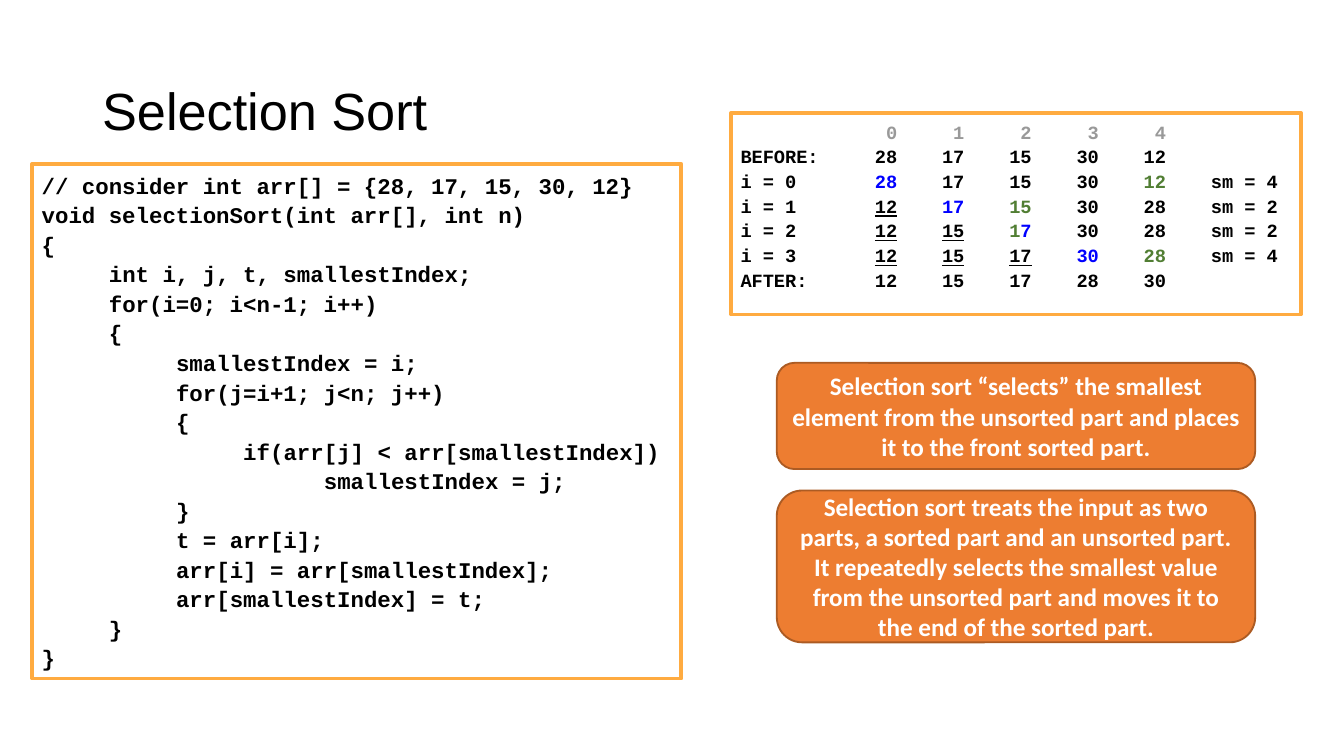
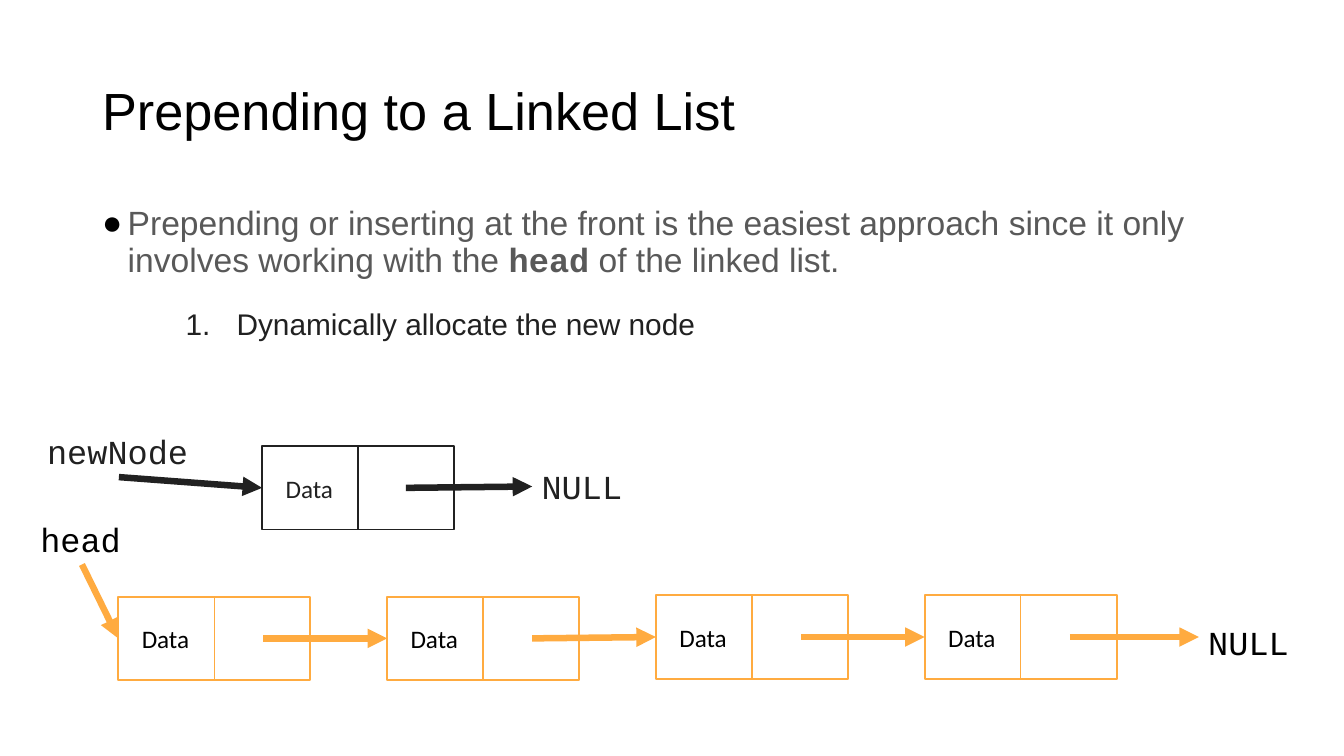
from pptx import Presentation
from pptx.dml.color import RGBColor
from pptx.enum.shapes import MSO_CONNECTOR, MSO_SHAPE
from pptx.enum.text import MSO_ANCHOR, PP_ALIGN
from pptx.oxml.ns import qn
from pptx.util import Inches, Pt
from lxml.etree import SubElement

# Grid: 100 columns by 56.25 rows, each cell a tenth of an inch
CELL = Inches(0.1)
COLS, ROWS = 100, 56.25

# Shared colours and text formats
hue = RGBColor.from_string
BLACK, WHITE, INK = "000000", "FFFFFF", "212121"
AMBER, BLUE, GREEN = "FFAB40", "0000FF", "517E33"
HEAD = {"name": "Arial", "size": Pt(28), "tint": BLACK}
MONO = {"name": "Courier New", "size": Pt(18), "tint": BLACK}
CODE = MONO | {"size": Pt(12), "bold": True}
NOTE = {"name": "Calibri", "size": Pt(13.5), "tint": WHITE, "bold": True}
DATA = {"name": "Calibri", "size": Pt(13.5), "tint": BLACK}
TITLE = (6.9, 3, 86.2, 10.9)
MID = {"vertical_anchor": MSO_ANCHOR.MIDDLE}


def put(page, at, lines, font, form=None, edge=None, fill=WHITE, frame={}, para={}):
    """Add a text box, or a preset shape; lines hold (text, changes) runs."""
    area = [round(n * CELL) for n in at]
    if form is None:
        item = page.shapes.add_textbox(*area)
    else:
        item = page.shapes.add_shape(form, *area)
        item.shadow.inherit = False
        item.fill.solid()
        item.fill.fore_color.rgb = hue(fill)
        item.line.color.rgb = hue(edge[0])
        item.line.width = Pt(edge[1])
    text = item.text_frame
    look = {"word_wrap": True, "vertical_anchor": MSO_ANCHOR.TOP,
            "margin_left": Inches(0.07), "margin_right": Inches(0.07),
            "margin_top": Inches(0.04), "margin_bottom": Inches(0.04)}
    for key, val in (look | frame).items():
        setattr(text, key, val)
    for num, line in enumerate(lines):
        par = text.add_paragraph() if num else text.paragraphs[0]
        for key, val in ({"alignment": PP_ALIGN.LEFT} | para).items():
            setattr(par, key, val)
        par._p.get_or_add_pPr().set("defTabSz", str(Inches(0.5)))
        for words, diff in line:
            run = par.add_run()
            run.text = words
            for key, val in (font | diff).items():
                if key == "tint":
                    run.font.color.rgb = hue(val)
                else:
                    setattr(run.font, key, val)
    return item


def link(page, start, stop, tint, wide=3.5, tip=True):
    """Draw a line; each end is a grid point or a (shape, side) pair."""
    ends = [(0, 0) if hasattr(end[0], "shape_id") else end for end in (start, stop)]
    spots = [round(n * CELL) for end in ends for n in end]
    wire = page.shapes.add_connector(MSO_CONNECTOR.STRAIGHT, *spots)
    if hasattr(start[0], "shape_id"):
        wire.begin_connect(*start)
    if hasattr(stop[0], "shape_id"):
        wire.end_connect(*stop)
    wire.line.color.rgb = hue(tint)
    wire.line.width = Pt(wide)
    if tip:
        SubElement(wire.line._get_or_add_ln(), qn("a:tailEnd"), type="triangle")
    SubElement(wire._element.spPr, qn("a:effectLst"))


deck = Presentation()
deck.slide_width, deck.slide_height = round(COLS * CELL), round(ROWS * CELL)
pages = []
for name in ("Selection Sort", "Prepending to a Linked List"):
    page = deck.slides.add_slide(deck.slide_layouts[6])
    put(page, TITLE, [[(name, {})]], HEAD, frame=MID, para={"line_spacing": 0.9})
    pages.append(page)
sort, chain = pages

# Slide 1: rounded notes
notes = [
    (36.5, 11.3, "Selection sort treats the input as two parts, a sorted part and an "
     "unsorted part. It repeatedly selects the smallest value from the unsorted part "
     "and moves it to the end of the sorted part."),
    (27, 7.9, "Selection sort “selects” the smallest element from the unsorted part "
     "and places it to the front sorted part."),
]
for top, high, words in notes:
    put(sort, (57.8, top, 35.6, high), [[(words, {})]], NOTE,
        MSO_SHAPE.ROUNDED_RECTANGLE, ("AC5B23", 1), "ED7D31", MID,
        {"alignment": PP_ALIGN.CENTER})

# Slide 1: code
code = """// consider int arr[] = {28, 17, 15, 30, 12}
void selectionSort(int arr[], int n)
{
\tint i, j, t, smallestIndex;
\tfor(i=0; i<n-1; i++)
\t{
\t\tsmallestIndex = i;
\t\tfor(j=i+1; j<n; j++)
\t\t{
\t\t\tif(arr[j] < arr[smallestIndex])
\t\t\t\t smallestIndex = j;
\t\t}
\t\tt = arr[i];
\t\tarr[i] = arr[smallestIndex];
\t\tarr[smallestIndex] = t;
\t}
}"""
put(sort, (2.4, 12.2, 48.3, 38.3), [[(row, {})] for row in code.split("\n")],
    CODE, MSO_SHAPE.RECTANGLE, (AMBER, 2), para={"line_spacing": 1.1})

# Slide 1: trace, worked out by running the sort
nums = [28, 17, 15, 30, 12]
trace = [[("\t\t 0\t 1\t 2\t 3\t 4", {"tint": "999999"})],
         [("BEFORE: \t" + "\t".join(map(str, nums)), {})]]
for i in range(len(nums) - 1):
    low = nums.index(min(nums[i:]))
    row = [(f"i = {i}\t", {})]
    for j, num in enumerate(nums):
        row.append(("\t", {}))
        if j == i == low:
            tens, ones = str(num)
            row += [(tens, {"tint": GREEN}), (ones, {"tint": BLUE})]
        elif j < i:
            row.append((str(num), {"underline": True}))
        else:
            row.append((str(num), {"tint": {i: BLUE, low: GREEN}.get(j, BLACK)}))
    trace.append(row + [(f"\tsm = {low}", {})])
    nums[i], nums[low] = nums[low], nums[i]
trace.append([("AFTER: \t" + "\t".join(map(str, nums)), {})])
put(sort, (54.4, 8.4, 42.4, 15), trace, CODE | {"size": Pt(10)},
    MSO_SHAPE.RECTANGLE, (AMBER, 2), para={"line_spacing": 1.1})

# Slide 2: bullet and numbered step
body = put(chain, (6.9, 15, 86.2, 35.7), [
    [("Prepending or inserting at the front is the easiest approach since it only "
      "involves working with the ", {}),
     ("head", {"name": "Courier New", "bold": True}),
     (" of the linked list.", {})],
    [("Dynamically allocate the new node", {"size": Pt(16), "tint": INK})],
], {"name": "Arial", "size": Pt(18), "tint": "595959"}, para={"line_spacing": 0.9})
marks = [(0.19, -0.19, BLACK, "buChar", {"char": "●"}),
         (1, -0.38, INK, "buAutoNum", {"type": "arabicPeriod"})]
for par, (left, hang, tint, kind, sign) in zip(body.text_frame.paragraphs, marks):
    prop = par._p.get_or_add_pPr()
    prop.set("marL", str(Inches(left)))
    prop.set("indent", str(Inches(hang)))
    SubElement(SubElement(prop, qn("a:buClr")), qn("a:srgbClr"), val=tint)
    SubElement(prop, qn("a:buFont"), typeface="Arial")
    SubElement(prop, qn("a:" + kind), **sign)
step = body.text_frame.paragraphs[1]
step.level = 1
step.space_before = Pt(16)

# Slide 2: nodes, four in the list and the new one last
WIDE, HIGH, STEP = 14.3, 6.2, 20
spots = [(8.8 + STEP * n, 44.4 - n // 2 * 0.1, AMBER, BLACK) for n in range(4)]
spots.append((19.5, 33.2, INK, INK))
nodes = []
for left, top, edge, tint in spots:
    node = put(chain, (left, top, WIDE, HIGH), [], DATA, MSO_SHAPE.RECTANGLE, (edge, 1))
    link(chain, (node, 0), (node, 2), edge, 0.75, False)
    put(chain, (left + 1.05, top + 1.6, 5.1, 3), [[("Data", {})]], DATA | {"tint": tint})
    nodes.append(node)

# Slide 2: labels
tags = [("head", 2.3, 38.2, 7.6, BLACK), ("NULL", 89.2, 45.9, 7.6, BLACK),
        ("newNode", 2.8, 31.7, 12.1, INK), ("NULL", 39.6, 34.3, 7.6, INK)]
head, end, fresh, null = [
    put(chain, (left, top, wide, 3.8), [[(words, {})]], MONO | {"tint": tint})
    for words, left, top, wide, tint in tags]

# Slide 2: arrows
for n, (left, top, *_) in enumerate(spots[:4]):
    mid = top + HIGH / 2
    stop = (nodes[n + 1], 1) if n < 3 else (89.2, mid)
    link(chain, (left + 10.8, mid), stop, AMBER)
link(chain, (head, 2), (nodes[0], 1), AMBER)
link(chain, (fresh, 2), (nodes[4], 1), INK)
link(chain, (30.2, 36.3), (null, 1), INK)

deck.save("out.pptx")
